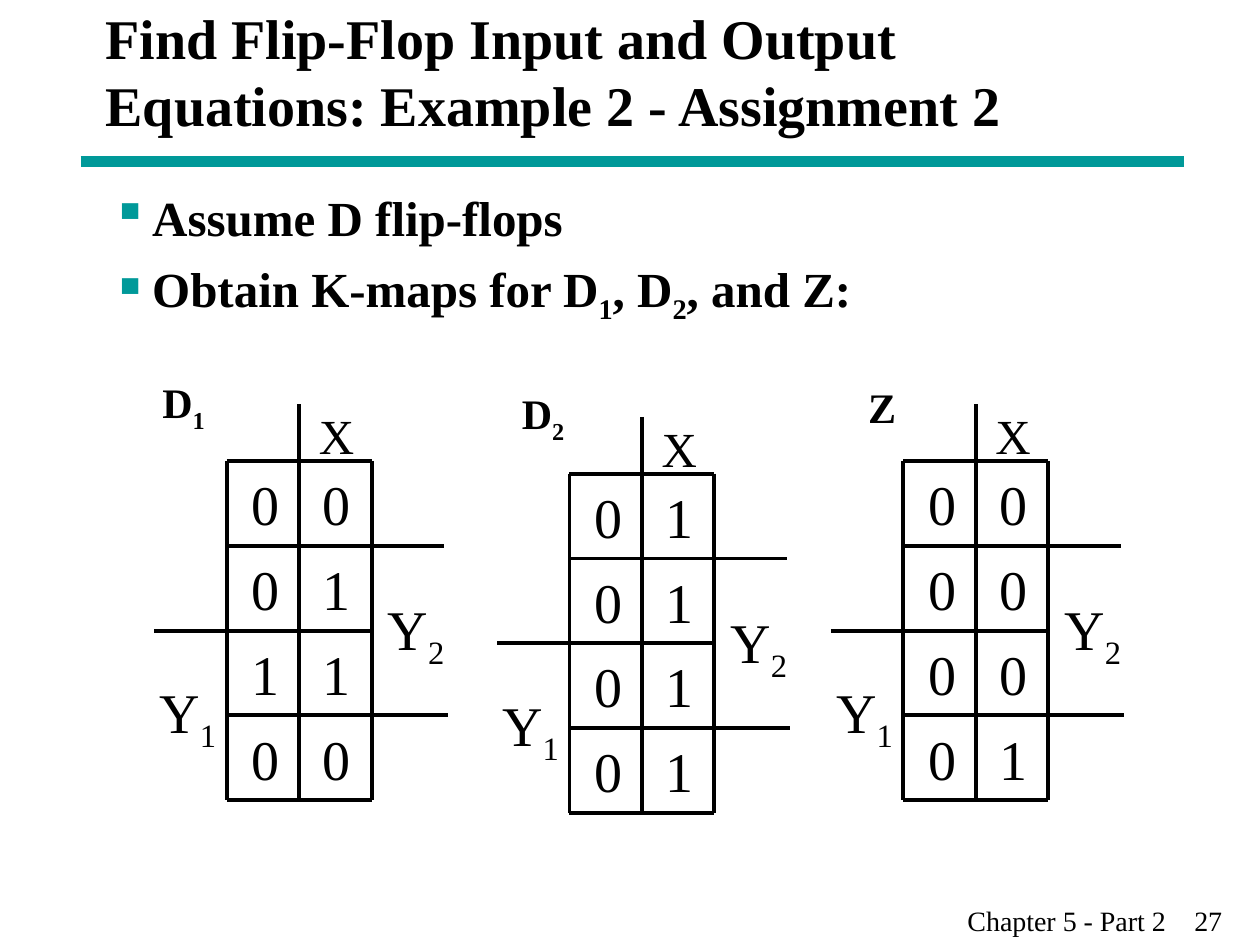
from dataclasses import dataclass
from itertools import product

from lxml.etree import SubElement
from pptx import Presentation
from pptx.dml.color import RGBColor
from pptx.enum.shapes import MSO_CONNECTOR as Connector
from pptx.enum.text import MSO_ANCHOR as Anchor
from pptx.oxml.ns import qn
from pptx.util import Inches, Pt

PAGE_WIDTH, PAGE_HEIGHT = 10, 7.5
CELL_WIDTH, CELL_HEIGHT = 1.15 / 2, 2.69 / 4
BLACK, TEAL = "000000", "009999"
FONT = "Times New Roman"


@dataclass(frozen=True)
class Area:
    """A rectangle in inches."""
    left: float
    top: float
    width: float
    height: float


@dataclass(frozen=True)
class KarnaughMap:
    title: str
    left: float
    top: float
    title_column: float
    title_row: float
    values: tuple[str, ...]

    def point(self, column: float, row: float) -> tuple[float, float]:
        return self.left + column * CELL_WIDTH, self.top + row * CELL_HEIGHT

    def area(self, column: float, row: float, width: float, height: float) -> Area:
        return Area(*self.point(column, row), width, height)


MAPS = (
    KarnaughMap("D|1", 1.8, 3.66, -1.06, -1.07, ("00", "01", "11", "00")),
    KarnaughMap("D|2", 4.52, 3.76, -0.83, -1.09, ("01", "01", "01", "01")),
    KarnaughMap("Z", 7.17, 3.66, -0.66, -1.01, ("00", "00", "00", "01")),
)

# Start column, start row, end column, end row
MAP_LINES = (
    (0, 0, 2, 0), (0, 1, 3, 1), (-1, 2, 2, 2), (0, 3, 3.05, 3), (0, 4, 2, 4),
    (0, 0, 0, 4), (1, -0.67, 1, 4), (2, 0, 2, 4),
)


def color(value: str) -> RGBColor:
    return RGBColor.from_string(value)


def share(left: float, top: float, width: float, height: float) -> Area:
    """Turn shares of the slide's size into an area."""
    return Area(left * PAGE_WIDTH, top * PAGE_HEIGHT,
                width * PAGE_WIDTH, height * PAGE_HEIGHT)


def add_line(shapes, start: tuple[float, float], end: tuple[float, float],
             width: float = 2.25, line_color: str = BLACK) -> None:
    line = shapes.add_connector(Connector.STRAIGHT, *map(Inches, start + end))
    line.line.width = Pt(width)
    line.line.color.rgb = color(line_color)
    SubElement(line._element.spPr, qn("a:effectLst"))


def fill_paragraph(para, text: str, size: float, bold: bool = False) -> None:
    """Write the text, with every second part between bars as a subscript."""
    for index, part in enumerate(text.split("|")):
        span = para.add_run()
        span.text = part
        for name, value in {"name": FONT, "size": Pt(size), "bold": bold}.items():
            setattr(span.font, name, value)
        span.font.color.rgb = color(BLACK)
        if index % 2:
            span._r.get_or_add_rPr().set("baseline", "-25000")


def add_text(shapes, area: Area, text: str, size: float, bold: bool = False,
             wrap: bool = True, anchor: Anchor = Anchor.TOP):
    box = shapes.add_textbox(*map(Inches, (area.left, area.top, area.width, area.height)))
    for name, value in {"word_wrap": wrap, "vertical_anchor": anchor}.items():
        setattr(box.text_frame, name, value)
    para = box.text_frame.paragraphs[0]
    fill_paragraph(para, text, size, bold)
    return box


def add_bullet(para) -> None:
    properties = para._p.get_or_add_pPr()
    properties.set("marL", str(Inches(0.32)))
    properties.set("indent", str(Inches(-0.32)))
    bullet_color = SubElement(properties, qn("a:buClr"))
    SubElement(bullet_color, qn("a:srgbClr"), val=TEAL)
    SubElement(properties, qn("a:buChar"), char="▪")


def add_bullet_list(shapes, area: Area, items: tuple[str, ...]) -> None:
    frame = add_text(shapes, area, items[0], 28, bold=True).text_frame
    add_bullet(frame.paragraphs[0])
    for item in items[1:]:
        para = frame.add_paragraph()
        add_bullet(para)
        para.space_before = Pt(7)
        fill_paragraph(para, item, 28, bold=True)


def add_footer(shapes) -> None:
    box = add_text(shapes, share(0.758, 0.95, 0.242, 0.05), "Chapter 5 - Part 2\t27", 16)
    properties = box.text_frame.paragraphs[0]._p.get_or_add_pPr()
    tabs = SubElement(properties, qn("a:tabLst"))
    SubElement(tabs, qn("a:tab"), pos=str(Inches(1.8)), algn="l")


def add_map(shapes, kmap: KarnaughMap) -> None:
    group = shapes.add_group_shape().shapes
    for start_column, start_row, end_column, end_row in MAP_LINES:
        add_line(group, kmap.point(start_column, start_row), kmap.point(end_column, end_row))
    add_text(group, kmap.area(2.05, 1.5, 0.65, 0.71), "Y|2", 32, wrap=False)
    add_text(group, kmap.area(-1.1, 2.48, 0.65, 0.71), "Y|1", 32, wrap=False)
    add_text(group, kmap.area(1.1, -0.73, 0.48, 0.57), "X", 28, wrap=False)
    for row, column in product(range(4), range(2)):
        area = kmap.area(column * 0.98 + 0.17, row + 0.03, 0.4, 0.64)
        add_text(group, area, kmap.values[row][column], 32)
    title_area = kmap.area(kmap.title_column, kmap.title_row, 0.61, 0.56)
    add_text(shapes, title_area, kmap.title, 24, bold=True)


def main() -> None:
    deck = Presentation()
    deck.slide_width, deck.slide_height = Inches(PAGE_WIDTH), Inches(PAGE_HEIGHT)
    shapes = deck.slides.add_slide(deck.slide_layouts[6]).shapes
    add_line(shapes, (0.64, 1.28), (9.4, 1.28), 6, TEAL)
    add_footer(shapes)
    add_text(shapes, share(0.074, 0, 0.85, 0.15),
             "Find Flip-Flop Input and Output Equations: Example 2 - Assignment 2",
             32, bold=True, anchor=Anchor.MIDDLE)
    add_bullet_list(shapes, Area(0.79, 1.44, 8.5, 5.5),
                    ("Assume D flip-flops", "Obtain K-maps for D|1|, D|2|, and Z:"))
    for kmap in MAPS:
        add_map(shapes, kmap)
    deck.save("out.pptx")


if __name__ == "__main__":
    main()
